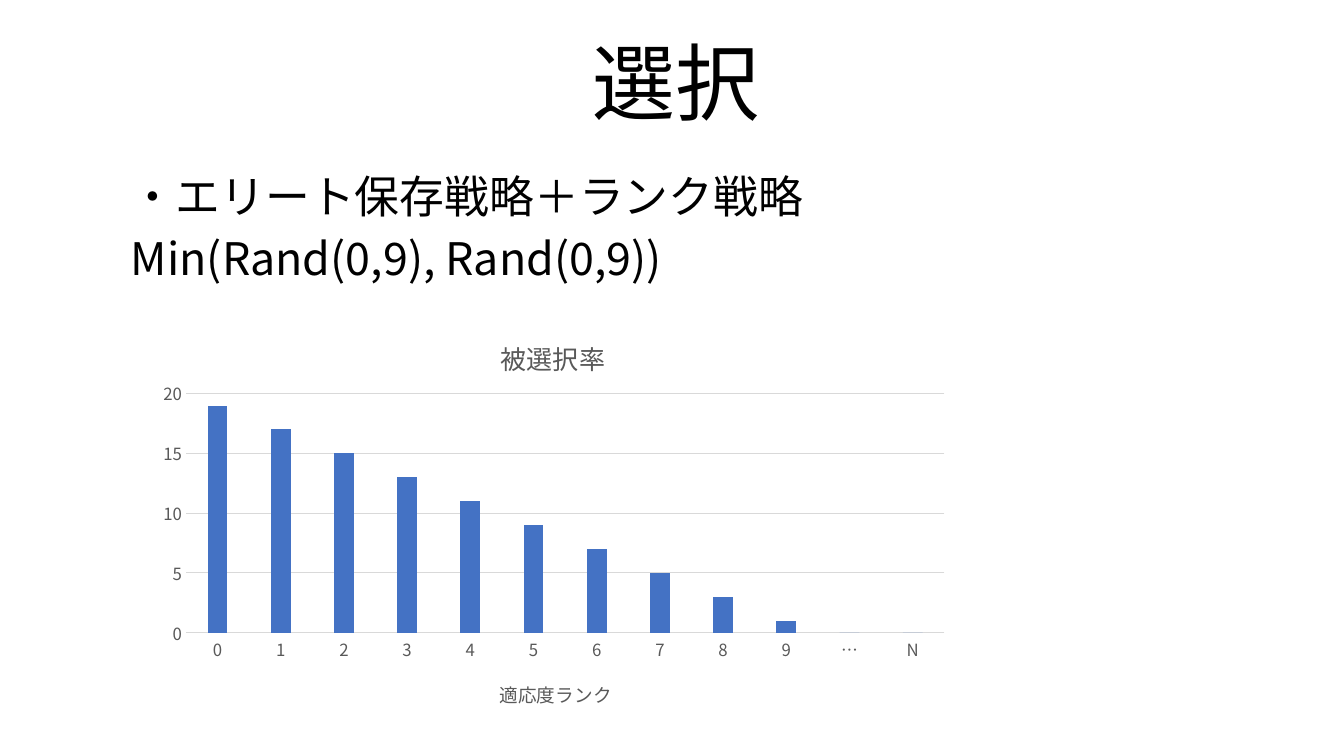
from pptx import Presentation
from pptx.chart.data import CategoryChartData
from pptx.dml.color import RGBColor as RGB
from pptx.enum.chart import XL_CHART_TYPE as CT, XL_TICK_MARK as TM
from pptx.enum.text import MSO_ANCHOR as ANCHOR, PP_ALIGN as ALIGN
from pptx.oxml import parse_xml
from pptx.oxml.ns import nsdecls, qn
from pptx.util import Cm, Pt
from lxml.etree import SubElement

TITLE = "選択"
BODY = ["・エリート保存戦略＋ランク戦略", "Min(Rand(0,9), Rand(0,9))"]
CHART_TITLE = "被選択率"
AXIS_TITLE = "適応度ランク"
RANKS = [*map(str, range(10)), "…", "N"]
RATES = [*range(19, 0, -2), 0, 0]
FONT = "Noto Sans CJK JP"
COLORS = {"text": "000000", "label": "595959", "grid": "D9D9D9", "bar": "4472C4"}
TITLE_BOX = (3.05, 0.79, 27.94, 2.84)
BODY_BOX = (3.05, 4.27, 27.94, 14)
CHART_BOX = (3.66, 7.7, 20.55, 10.57)


def color(name):
    return RGB.from_string(COLORS[name])


def style(font, size, name):
    font.name, font.size, font.bold = FONT, Pt(size), False
    font.color.rgb = color(name)


def add_run(p, text, size, name="text"):
    r = p.add_run()
    r.text = text
    style(r.font, size, name)
    SubElement(r.font._element, qn("a:ea"), typeface=FONT)


def set_layout(parent, index, target="", **fractions):
    for old in parent.findall(qn("c:layout")):
        parent.remove(old)
    modes = "".join(f'<c:{k}Mode val="edge"/>' for k in "xy")
    values = "".join(f'<c:{k} val="{v}"/>' for k, v in fractions.items())
    parent.insert(index, parse_xml(
        f'<c:layout {nsdecls("c")}><c:manualLayout>{target}{modes}{values}'
        "</c:manualLayout></c:layout>"))


def add_chart_title(owner, text, size, x, y):
    title = owner.chart_title if hasattr(owner, "chart_title") else owner.axis_title
    add_run(title.text_frame.paragraphs[0], text, size, "label")
    set_layout(title._element, 1, x=x, y=y)


def add_chart(s):
    data = CategoryChartData()
    data.categories = RANKS
    data.add_series("Series 1", RATES)
    chart = s.shapes.add_chart(CT.COLUMN_CLUSTERED, *map(Cm, CHART_BOX), data).chart
    style(chart.font, 10, "text")
    chart.has_legend = False
    add_chart_title(chart, CHART_TITLE, 18.6, 0.43, 0.06)

    plot = chart.plots[0]
    plot.gap_width, plot.overlap, plot.vary_by_categories = 219, -27, False
    fill = plot.series[0].format.fill
    fill.solid()
    fill.fore_color.rgb = color("bar")

    ranks, rates = chart.category_axis, chart.value_axis
    for axis in (ranks, rates):
        axis.major_tick_mark = axis.minor_tick_mark = TM.NONE
        style(axis.tick_labels.font, 12, "label")
    add_chart_title(ranks, AXIS_TITLE, 13.3, 0.43, 0.88)
    rates.minimum_scale, rates.maximum_scale, rates.major_unit = 0, 20, 5
    rates.format.line.fill.background()
    for line in (ranks.format.line, rates.major_gridlines.format.line):
        line.color.rgb, line.width = color("grid"), Pt(0.75)

    area = chart._chartSpace.find(".//" + qn("c:plotArea"))
    set_layout(area, 0, '<c:layoutTarget val="inner"/>', x=0.05, y=0.21, w=0.93, h=0.57)


def main():
    prs = Presentation()
    prs.slide_width, prs.slide_height = Cm(33.87), Cm(19.05)
    s = prs.slides.add_slide(prs.slide_layouts[5])

    title = s.shapes.title
    title.left, title.top, title.width, title.height = map(Cm, TITLE_BOX)
    title.text_frame.vertical_anchor = ANCHOR.MIDDLE
    p = title.text_frame.paragraphs[0]
    p.alignment, p.line_spacing = ALIGN.CENTER, 0.9
    add_run(p, TITLE, 60)

    tf = s.shapes.add_textbox(*map(Cm, BODY_BOX)).text_frame
    tf.word_wrap = True
    for i, text in enumerate(BODY):
        p = tf.add_paragraph() if i else tf.paragraphs[0]
        p.line_spacing, p.space_before = 0.9, Pt(10)
        add_run(p, text, 32)

    add_chart(s)
    prs.save("out.pptx")


if __name__ == "__main__":
    main()
